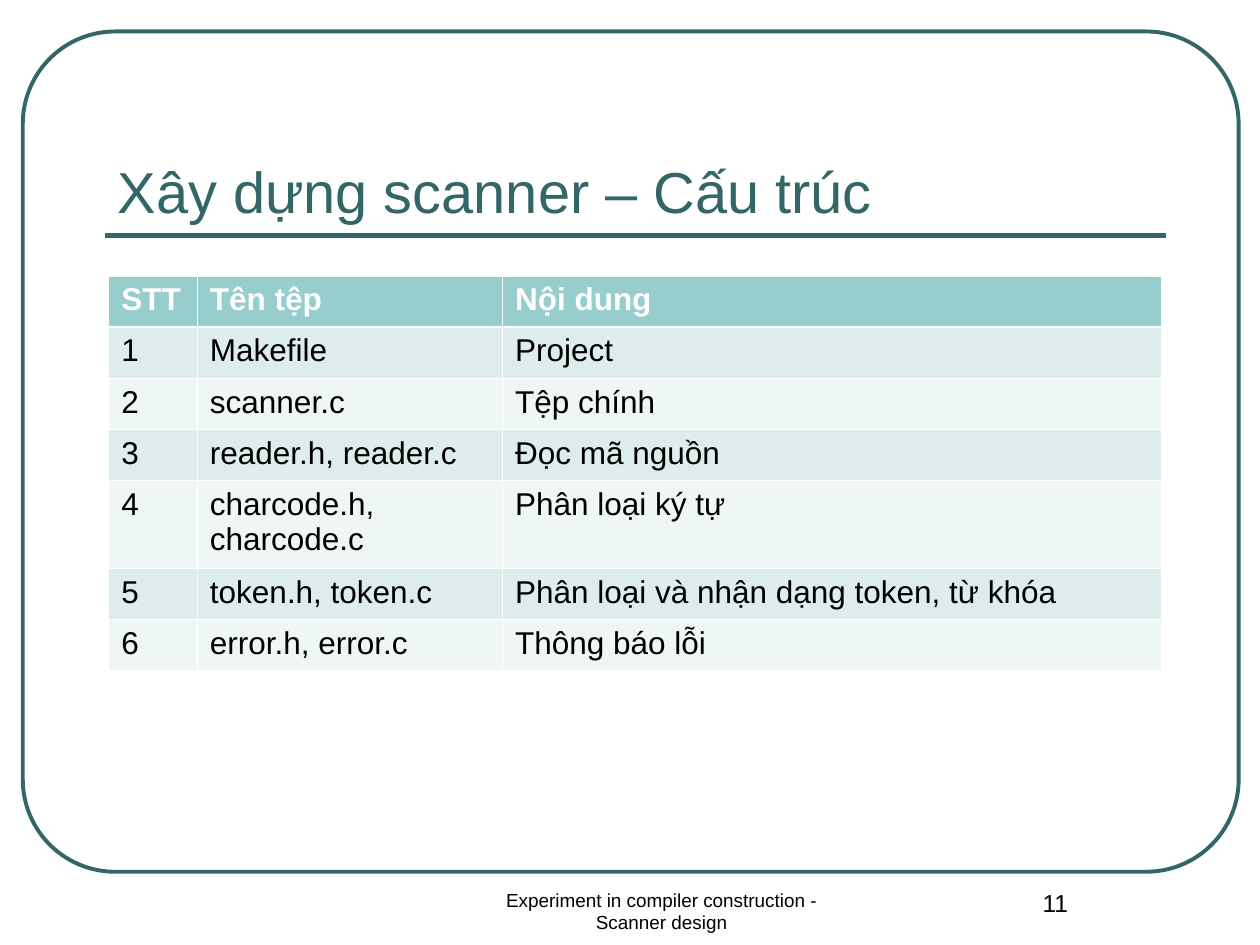
"""Build the slide that lists the source files of the scanner project."""
from lxml import etree
from pptx import Presentation
from pptx.dml.color import RGBColor
from pptx.enum.shapes import MSO_CONNECTOR, MSO_SHAPE
from pptx.enum.text import MSO_ANCHOR, MSO_AUTO_SIZE, PP_ALIGN
from pptx.oxml.ns import qn
from pptx.util import Pt

ROUNDED = MSO_SHAPE.ROUNDED_RECTANGLE
STRAIGHT = MSO_CONNECTOR.STRAIGHT
BOTTOM, TOP = MSO_ANCHOR.BOTTOM, MSO_ANCHOR.TOP
NO_FIT = MSO_AUTO_SIZE.NONE
LEFT, CENTER = PP_ALIGN.LEFT, PP_ALIGN.CENTER

THEME = {
    "accent": RGBColor.from_string("336666"),
    "header": RGBColor.from_string("97CDCC"),
    "bands": [RGBColor.from_string("DDEDEC"), RGBColor.from_string("EFF6F6")],
    "white": RGBColor.from_string("FFFFFF"),
    "black": RGBColor.from_string("000000"),
    "font": "Arial",
    "title": Pt(33),
    "table": Pt(18),
    "number": Pt(14),
    "footer": Pt(10.8),
}
INSETS = {
    "margin_left": Pt(7.2),
    "margin_right": Pt(7.2),
    "margin_top": Pt(3.6),
    "margin_bottom": Pt(3.6),
}


def write(holder, text, size, color, align=LEFT, bold=False):
    """Put one formatted paragraph into a text frame."""
    para = holder.paragraphs[0]
    para.alignment = align
    span = para.add_run()
    span.text = text
    span.font.color.rgb = color
    for name, value in {"name": THEME["font"], "size": size, "bold": bold}.items():
        setattr(span.font, name, value)


def add_border(cell, side, width):
    """Draw one white edge of a table cell."""
    properties = cell._tc.get_or_add_tcPr()
    edge = etree.SubElement(properties, qn(f"a:ln{side}"), w=str(Pt(width)))
    fill = etree.SubElement(edge, qn("a:solidFill"))
    etree.SubElement(fill, qn("a:srgbClr"), val=str(THEME["white"]))


deck = Presentation()
deck.slide_width, deck.slide_height = Pt(720), Pt(540)
page = deck.slides.add_slide(deck.slide_layouts[5])

frame = page.shapes.add_shape(ROUNDED, Pt(13), Pt(18), Pt(694.8), Pt(480.2))
frame.adjustments[0] = 0.11
frame.shadow.inherit = False
frame.fill.background()
rule = page.shapes.add_connector(STRAIGHT, Pt(60), Pt(134.6), Pt(666), Pt(134.6))
etree.SubElement(rule._element.spPr, qn("a:effectLst"))
for outlined, width in ((frame, 2.25), (rule, 3)):
    outlined.line.color.rgb = THEME["accent"]
    outlined.line.width = Pt(width)

title = page.shapes.title
title_place = {"left": Pt(60), "top": Pt(42), "width": Pt(606), "height": Pt(90)}
for name, value in title_place.items():
    setattr(title, name, value)
title_format = {
    **INSETS, "vertical_anchor": BOTTOM, "word_wrap": True, "auto_size": NO_FIT,
}
for name, value in title_format.items():
    setattr(title.text_frame, name, value)
write(title.text_frame, "Xây dựng scanner – Cấu trúc", THEME["title"], THEME["accent"])

FOOTERS = [
    ("Experiment in compiler construction - Scanner design", 264, 228, "footer"),
    ("11", 540, 126, "number"),
]
for text, left, width, size in FOOTERS:
    box = page.shapes.add_textbox(Pt(left), Pt(504), Pt(width), Pt(36))
    for name, value in {**INSETS, "vertical_anchor": TOP, "word_wrap": True}.items():
        setattr(box.text_frame, name, value)
    write(box.text_frame, text, THEME[size], THEME["black"], CENTER)

FILES = [
    ("STT", "Tên tệp", "Nội dung"),
    ("1", "Makefile", "Project"),
    ("2", "scanner.c", "Tệp chính"),
    ("3", "reader.h, reader.c", "Đọc mã nguồn"),
    ("4", "charcode.h, charcode.c", "Phân loại ký tự"),
    ("5", "token.h, token.c", "Phân loại và nhận dạng token, từ khóa"),
    ("6", "error.h, error.c", "Thông báo lỗi"),
]
COLUMN_WIDTHS = [50.6, 174.4, 376.7]
ROW_HEIGHT, TALL_ROW_HEIGHT, TALL_ROW = 29.2, 50.4, 4
table = page.shapes.add_table(
    len(FILES), len(COLUMN_WIDTHS), Pt(62.2), Pt(157.7), Pt(601.7), Pt(225.6)
).table
for column, width in zip(table.columns, COLUMN_WIDTHS):
    column.width = Pt(width)

for row_index, entries in enumerate(FILES):
    is_header = row_index == 0
    table.rows[row_index].height = Pt(
        TALL_ROW_HEIGHT if row_index == TALL_ROW else ROW_HEIGHT
    )
    fill_color = THEME["header"] if is_header else THEME["bands"][(row_index - 1) % 2]
    text_color = THEME["white"] if is_header else THEME["black"]
    edges = {
        "L": 0.45,
        "R": 0.45,
        "T": 1.47 if row_index == 1 else 0.45,
        "B": 1.47 if is_header else 0.45,
    }
    for column_index, text in enumerate(entries):
        cell = table.cell(row_index, column_index)
        for name, value in {**INSETS, "vertical_anchor": TOP}.items():
            setattr(cell, name, value)
        for side, width in edges.items():
            add_border(cell, side, width)
        cell.fill.solid()
        cell.fill.fore_color.rgb = fill_color
        write(cell.text_frame, text, THEME["table"], text_color, bold=is_header)

deck.save("out.pptx")
